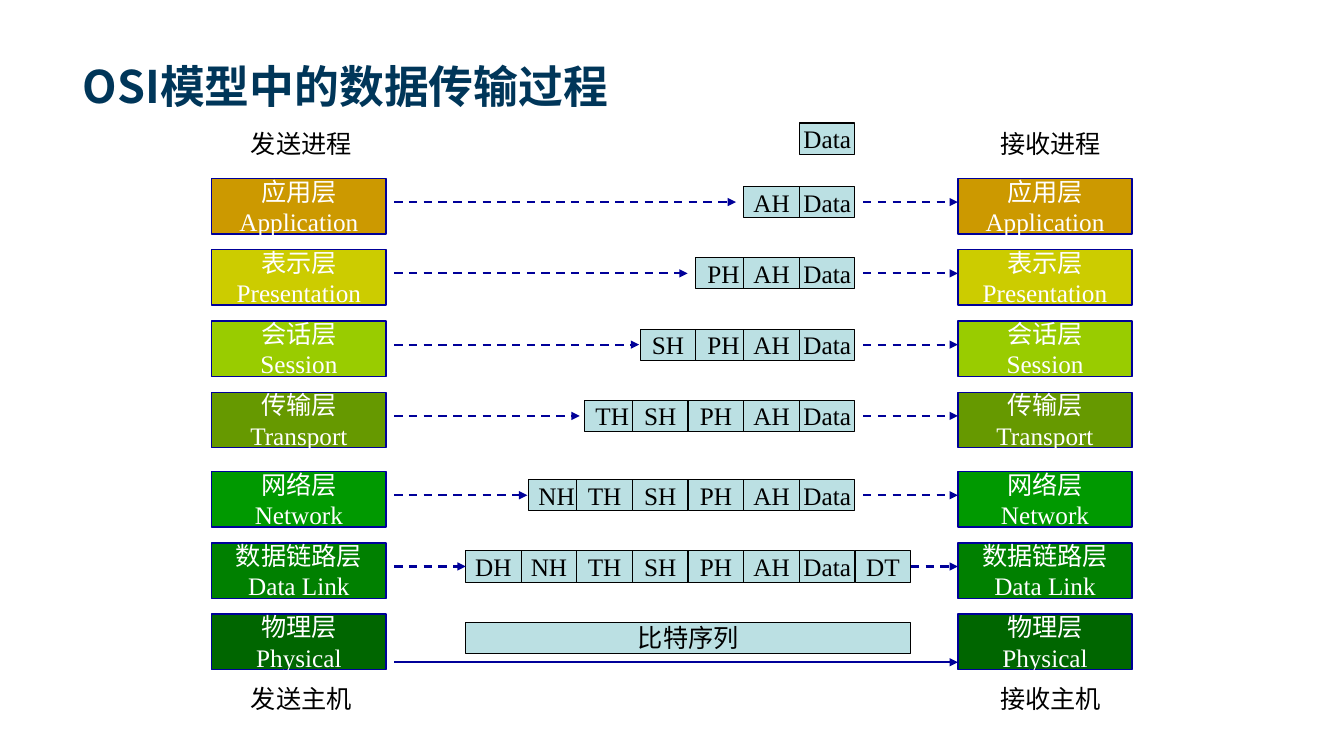
import pptx
import pptx.dml.color
import pptx.enum.dml
import pptx.enum.shapes
import pptx.enum.text
import pptx.util
from dataclasses import dataclass
from lxml import etree
from pptx.util import Inches

# Content
TITLE = "OSI模型中的数据传输过程"
LAYERS = [  # Chinese name, English name, colour, arrow end, headers set off to the right
    ("应用层", "Application", "CC9900", 7.30, 0),
    ("表示层", "Presentation", "CCCC00", 6.82, 1),
    ("会话层", "Session", "99CC00", 6.34, 2),
    ("传输层", "Transport", "669900", 5.75, 1),
    ("网络层", "Network", "009900", 5.23, 1),
    ("数据链路层", "Data Link", "008000", 4.62, 0),
    ("物理层", "Physical", "006600", 9.50, 0),
]
UNITS = ["Data", "AH", "PH", "SH", "TH", "NH", "DH"]  # innermost first
TRAILER = "DT"
BITS = "比特序列"
HOSTS = [  # stack left, label left, process, host
    (2.10, 2.39, "发送进程", "发送主机"),
    (9.50, 9.82, "接收进程", "接收主机"),
]


@dataclass
class Theme:
    title_font: str = "Noto Sans CJK SC"
    body_font: str = "Times New Roman"
    title_size: int = 32
    body_size: int = 18
    title: str = "003659"
    text: str = "000000"
    layer_text: str = "FFFFFF"
    unit: str = "BBE0E3"
    navy: str = "000099"


theme = Theme()

# Geometry in inches
ROW_TOP, ROW_STEP, LOWER_GAP = 1.77, 0.707, 0.08
LAYER_WIDTH, LAYER_HEIGHT = 1.73, 0.55
DATA_LEFT, UNIT_STEP, UNIT_WIDTH, UNIT_HEIGHT = 7.93, 0.552, 0.55, 0.31
UNIT_DROP, HEADER_OFFSET = 0.08, 0.075
ARROW_START, ARROW_RESUME, RECEIVER = 3.91, 8.56, 9.50
ARROW_DROP, BIT_ARROW_Y = 0.235, 6.57


def row_top(row):
    return ROW_TOP + row * ROW_STEP + (LOWER_GAP if row >= 4 else 0)


def unit_left(place):
    return DATA_LEFT - place * UNIT_STEP


def rgb(value):
    return pptx.dml.color.RGBColor.from_string(value)


def style(paragraph, size, color, font, bold=False):
    paragraph.font.size = pptx.util.Pt(size)
    paragraph.font.bold = bold
    paragraph.font.color.rgb = rgb(color)
    paragraph.font.name = font
    defaults = paragraph._p.pPr.find(pptx.oxml.ns.qn("a:defRPr"))
    east_asian = etree.SubElement(defaults, pptx.oxml.ns.qn("a:ea"))
    east_asian.set("typeface", theme.title_font)


def add_box(left, top, width, height, lines, fill, line, line_width, color):
    shape = slide.shapes.add_shape(
        pptx.enum.shapes.MSO_SHAPE.RECTANGLE,
        Inches(left), Inches(top), Inches(width), Inches(height))
    shape.shadow.inherit = False
    shape.fill.solid()
    shape.fill.fore_color.rgb = rgb(fill)
    shape.line.color.rgb = rgb(line)
    shape.line.width = pptx.util.Pt(line_width)
    frame = shape.text_frame
    frame.word_wrap = False
    frame.vertical_anchor = pptx.enum.text.MSO_ANCHOR.MIDDLE
    frame.text = "\n".join(lines)
    for paragraph in frame.paragraphs:
        paragraph.alignment = pptx.enum.text.PP_ALIGN.CENTER
        style(paragraph, theme.body_size, color, theme.body_font)


def add_unit(left, top, text, width=UNIT_WIDTH):
    add_box(left, top, width, UNIT_HEIGHT, [text], theme.unit, theme.text, 0.75, theme.text)


def add_arrow(start, end, y, dashed=True):
    arrow = slide.shapes.add_connector(
        pptx.enum.shapes.MSO_CONNECTOR.STRAIGHT,
        Inches(start), Inches(y), Inches(end), Inches(y))
    arrow.line.color.rgb = rgb(theme.navy)
    arrow.line.width = pptx.util.Pt(1.5)
    if dashed:
        arrow.line.dash_style = pptx.enum.dml.MSO_LINE.DASH
    head = etree.SubElement(arrow.line._get_or_add_ln(), pptx.oxml.ns.qn("a:tailEnd"))
    head.set("type", "triangle")
    etree.SubElement(arrow._element.spPr, pptx.oxml.ns.qn("a:effectLst"))


def add_label(left, top, text):
    label = slide.shapes.add_textbox(Inches(left), Inches(top), Inches(1.2), Inches(0.4))
    label.text_frame.word_wrap = False
    label.text_frame.text = text
    style(label.text_frame.paragraphs[0], theme.body_size, theme.text, theme.body_font)


presentation = pptx.Presentation()
presentation.slide_width = Inches(13.33)
presentation.slide_height = Inches(7.5)
slide = presentation.slides.add_slide(presentation.slide_layouts[5])

# Title
title = slide.shapes.title
title.left, title.top, title.width, title.height = map(Inches, (0.72, 0, 11.88, 1.12))
title.text_frame.text = TITLE
title.text_frame.auto_size = pptx.enum.text.MSO_AUTO_SIZE.NONE
title.text_frame.vertical_anchor = pptx.enum.text.MSO_ANCHOR.BOTTOM
title.text_frame.margin_bottom = 0
title_paragraph = title.text_frame.paragraphs[0]
title_paragraph.alignment = pptx.enum.text.PP_ALIGN.LEFT
style(title_paragraph, theme.title_size, theme.title, theme.title_font, bold=True)

# Layer stacks with their process and host labels
for stack_left, label_left, process, host in HOSTS:
    add_label(label_left, 1.22, process)
    add_label(label_left, 6.73, host)
    for row, (chinese, english, color, _, _) in enumerate(LAYERS):
        add_box(stack_left, row_top(row), LAYER_WIDTH, LAYER_HEIGHT,
                [chinese, english], color, theme.navy, 1, theme.layer_text)

# Data units, outermost header first so that inner ones overlap it
add_unit(DATA_LEFT, 1.22, UNITS[0])
link_row = len(LAYERS) - 2
for row, (_, _, _, arrow_end, offset_count) in enumerate(LAYERS[:-1]):
    top = row_top(row)
    outermost = row + 1
    for place in range(outermost, -1, -1):
        offset = HEADER_OFFSET if place > outermost - offset_count else 0
        add_unit(unit_left(place) + offset, top + UNIT_DROP, UNITS[place])
    add_arrow(ARROW_START, arrow_end, top + ARROW_DROP)
    resume = unit_left(-2) if row == link_row else ARROW_RESUME
    add_arrow(resume, RECEIVER, top + ARROW_DROP)
add_unit(unit_left(-1), row_top(link_row) + UNIT_DROP, TRAILER)

# Bit sequence on the physical layer
bits_left = unit_left(len(UNITS) - 1)
add_unit(bits_left, row_top(link_row + 1) + UNIT_DROP, BITS, unit_left(-2) - bits_left)
add_arrow(ARROW_START, RECEIVER, BIT_ARROW_Y, dashed=False)

presentation.save("out.pptx")
